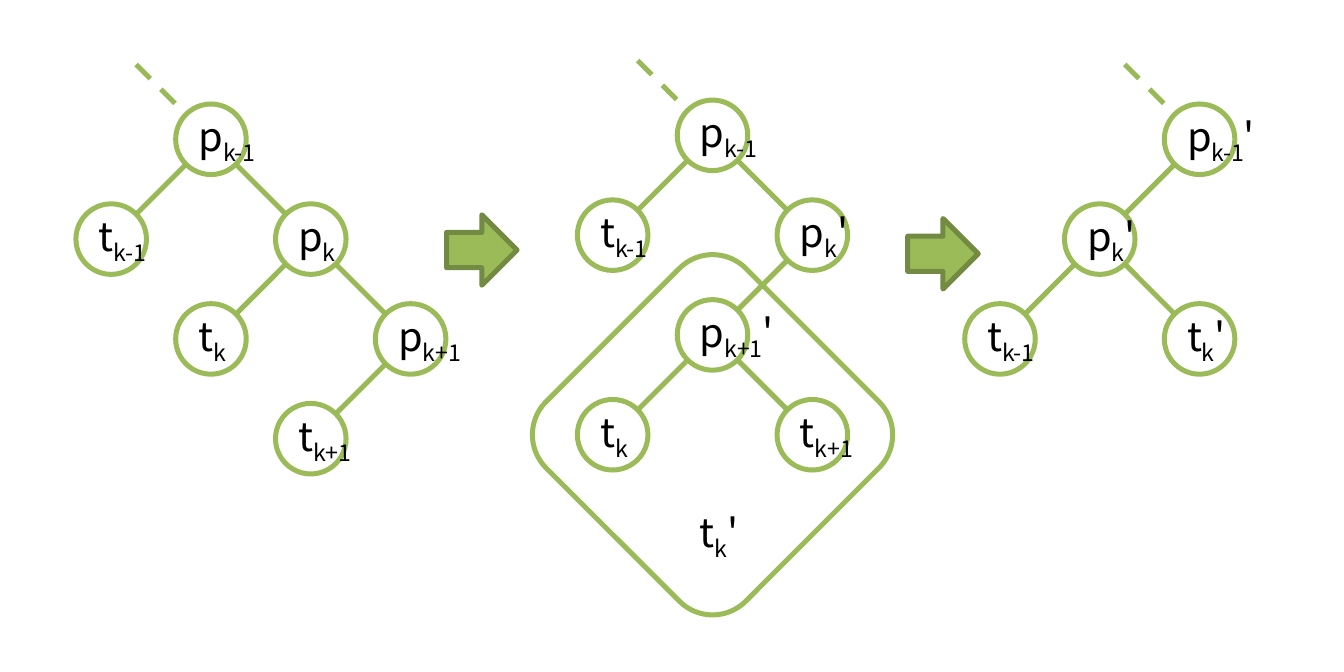
"""Draw three steps of a tree rotation."""
from math import sqrt

from pptx import Presentation
from pptx.dml.color import RGBColor
from pptx.enum import dml, shapes, text
from pptx.oxml import ns, xmlchemy as xml
from pptx.util import Pt

GREEN = RGBColor(0x9B, 0xBB, 0x59)
EDGE = RGBColor(0x98, 0xB9, 0x55)
DARK = RGBColor(0x73, 0x8A, 0x42)
WHITE = RGBColor(0xFF, 0xFF, 0xFF)
BLACK = RGBColor(0, 0, 0)
KIND = shapes.MSO_SHAPE

STEP = 40.1
SIZE = 28.35
REACH = 10


class Board:
    """Hold the style and the slide, and draw each kind of element."""

    font = "Noto Sans CJK JP"
    size = Pt(16)
    width = Pt(2)

    def __init__(self, slide):
        """Start on a slide."""
        self.slide = slide

    def shape(self, home, kind, x, y, size, fill, line):
        """Add a square-framed shape centred at x, y."""
        left, top = Pt(x - size / 2), Pt(y - size / 2)
        shape = home.add_shape(kind, left, top, Pt(size), Pt(size))
        shape.shadow.inherit = False
        if fill is None:
            shape.fill.background()
            shape.line.fill.background()
        else:
            shape.fill.solid()
            shape.fill.fore_color.rgb = fill
            shape.line.color.rgb = line
            shape.line.width = self.width
        return shape

    def arrow(self, x, y):
        """Add a block arrow between two trees."""
        self.shape(self.slide.shapes, KIND.RIGHT_ARROW, x, y, SIZE, GREEN, DARK)

    def box(self, home, x, y):
        """Add the tilted frame around a subtree."""
        side = 2 * sqrt(2) * STEP
        frame = self.shape(home, KIND.ROUNDED_RECTANGLE, x, y, side, WHITE, GREEN)
        frame.rotation = 45

    def edge(self, home, x, y, side, dashed):
        """Add the line from the parent down to the node at x, y."""
        far = STEP - REACH
        line = home.add_connector(
            shapes.MSO_CONNECTOR.STRAIGHT,
            Pt(x - side * far), Pt(y - far), Pt(x - side * REACH), Pt(y - REACH))
        line.line.color.rgb = EDGE
        line.line.width = self.width
        if dashed:
            line.line.dash_style = dml.MSO_LINE.DASH
        line._element.spPr.append(xml.OxmlElement("a:effectLst"))

    def node(self, home, x, y, label, bare):
        """Add a circle, or bare text, with a base, index and prime."""
        fill = None if bare else WHITE
        shape = self.shape(home, KIND.OVAL, x, y, SIZE, fill, GREEN)
        frame = shape.text_frame
        frame.word_wrap = False
        frame.vertical_anchor = text.MSO_ANCHOR.MIDDLE
        frame.margin_left = frame.margin_right = Pt(5)
        frame.margin_top = frame.margin_bottom = Pt(2.5)
        para = frame.paragraphs[0]
        para.alignment = text.PP_ALIGN.LEFT
        para.font.name = self.font
        para.font.size = self.size
        para.font.color.rgb = BLACK
        base, index, *prime = label.split()
        para.add_run().text = base
        sub = para.add_run()
        sub.text = index
        sub.font._element.set("baseline", "-25000")
        for mark in prime:
            para.add_run().text = mark

    def tree(self, x, y, nodes, box=None):
        """Add a tree with its root at x, y."""
        home = self.slide.shapes.add_group_shape().shapes
        if box:
            self.box(home, x + box[0] * STEP, y + box[1] * STEP)
        spots = [(x + col * STEP, y + row * STEP, row, side, label)
                 for label, col, row, side in nodes]
        for left, top, row, side, label in spots:
            self.node(home, left, top, label, side == 0)
        for left, top, row, side, label in spots:
            if side:
                self.edge(home, left, top, side, row == 0)


BEFORE = [
    ("p k-1", 0, 0, 1), ("t k-1", -1, 1, -1), ("p k", 1, 1, 1),
    ("t k", 0, 2, -1), ("p k+1", 2, 2, 1), ("t k+1", 1, 3, -1),
]
MIDDLE = [
    ("p k-1", 0, 0, 1), ("t k-1", -1, 1, -1), ("p k '", 1, 1, 1),
    ("p k+1 '", 0, 2, -1), ("t k", -1, 3, -1), ("t k+1", 1, 3, 1),
    ("t k '", 0, 4, 0),
]
AFTER = [
    ("p k-1 '", 0, 0, 1), ("p k '", -1, 1, -1),
    ("t k-1", -2, 2, -1), ("t k '", 0, 2, 1),
]


def main():
    """Build and save the slide."""
    deck = Presentation()
    deck.slide_width, deck.slide_height = Pt(540), Pt(270)
    board = Board(deck.slides.add_slide(deck.slide_layouts[6]))
    board.arrow(193.6, 100.5)
    board.tree(84.8, 56, BEFORE)
    board.tree(286.3, 54.4, MIDDLE, box=(0, 3))
    board.tree(482, 56, AFTER)
    board.arrow(378.9, 102)
    deck.save("out.pptx")


if __name__ == "__main__":
    main()
